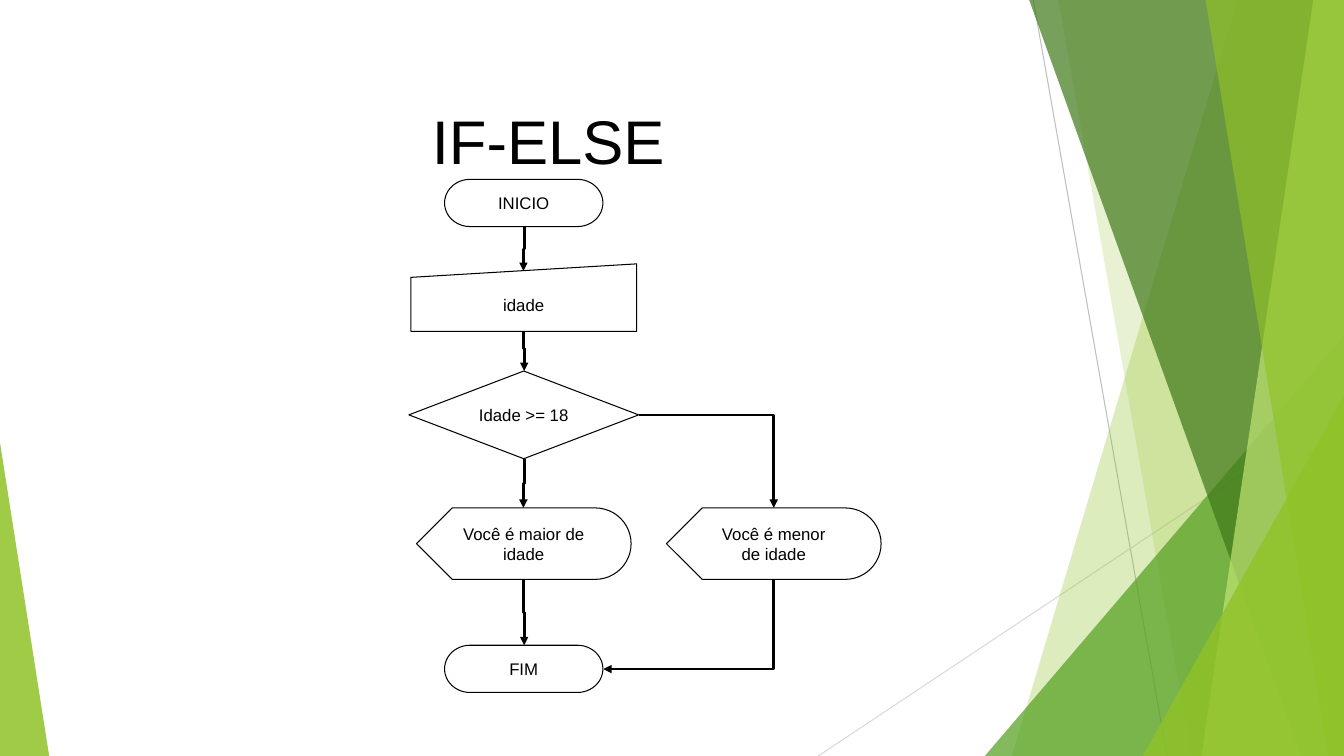
from dataclasses import dataclass
from lxml.etree import SubElement as Sub
from pptx import Presentation
from pptx.dml.color import RGBColor as Rgb
from pptx.enum.shapes import MSO_CONNECTOR as Link, MSO_SHAPE as Form
from pptx.enum.text import MSO_ANCHOR as Anchor, PP_ALIGN as Align
from pptx.oxml.ns import qn
from pptx.util import Cm, Pt


@dataclass(frozen=True)
class Theme:
    font: str = "Arial"
    ink: str = "000000"
    paper: str = "FFFFFF"
    grey: str = "BFBFBF"
    pale: str = "D9D9D9"
    lime: str = "90C226"
    green: str = "54A021"
    dark: str = "3F7819"
    light: str = "C0E474"
    head: int = 44
    body: int = 12
    hair: float = 0
    thin: float = 0.75


class Board:
    def __init__(self, slide, theme):
        self.shapes = slide.shapes
        self.theme = theme

    def label(self, shape, text, size):
        frame = shape.text_frame
        frame.word_wrap = True
        frame.vertical_anchor = Anchor.MIDDLE
        para = frame.paragraphs[0]
        para.alignment = Align.CENTER
        run = para.add_run()
        run.text = text
        run.font.name = self.theme.font
        run.font.size = Pt(size)
        run.font.color.rgb = Rgb.from_string(self.theme.ink)

    def title(self, text, left, top, width, height):
        box = self.shapes.add_textbox(Cm(left), Cm(top), Cm(width), Cm(height))
        frame = box.text_frame
        frame.margin_left = frame.margin_right = Cm(0)
        frame.margin_top = frame.margin_bottom = Cm(0)
        self.label(box, text, self.theme.head)

    def facet(self, points, color, alpha):
        start, *rest = [(Cm(x), Cm(y)) for x, y in points]
        pen = self.shapes.build_freeform(*start)
        pen.add_line_segments(rest)
        shape = pen.convert_to_shape()
        shape.shadow.inherit = False
        shape.line.fill.background()
        shape.fill.solid()
        shape.fill.fore_color.rgb = Rgb.from_string(color)
        tint = shape.element.spPr.find(qn("a:solidFill")).find(qn("a:srgbClr"))
        Sub(tint, qn("a:alpha"), val=str(alpha * 1000))

    def node(self, form, text, mid, top, width, height):
        shape = self.shapes.add_shape(
            form, Cm(mid - width / 2), Cm(top), Cm(width), Cm(height))
        shape.shadow.inherit = False
        shape.fill.solid()
        shape.fill.fore_color.rgb = Rgb.from_string(self.theme.paper)
        shape.line.color.rgb = Rgb.from_string(self.theme.ink)
        shape.line.width = Pt(self.theme.hair)
        self.label(shape, text, self.theme.body)

    def line(self, start, end, color, width, kind=Link.STRAIGHT):
        ends = [Cm(value) for value in (*start, *end)]
        link = self.shapes.add_connector(kind, *ends)
        link.line.color.rgb = Rgb.from_string(color)
        link.line.width = Pt(width)
        Sub(link.element.spPr, qn("a:effectLst"))
        return link

    def arrow(self, start, end, corner=False):
        link = self.line(start, end, self.theme.ink, self.theme.hair, Link.ELBOW)
        shape = link.element.spPr
        Sub(shape.find(qn("a:ln")), qn("a:tailEnd"), type="triangle")
        if corner:
            shape.find(qn("a:prstGeom")).set("prst", "bentConnector2")
        return link

    def drop(self, start, end, corner=False):
        link = self.arrow(start, end, corner)
        (x1, y1), (x2, y2) = start, end
        wide, high = y2 - y1, abs(x2 - x1)
        link.left, link.top = Cm((x1 + x2 - wide) / 2), Cm((y1 + y2 - high) / 2)
        link.width, link.height = Cm(wide), Cm(high)
        frame = link.element.spPr.find(qn("a:xfrm"))
        right = x2 > x1
        frame.set("rot", str((270 if right else 90) * 60000))
        frame.set("flipH", str(int(right)))


WIDE, HIGH, TOP = 33.87, 19.05, -0.02


def band(top, base):
    return [(top, TOP), (WIDE, TOP), (WIDE, HIGH), (base, HIGH)]


def wedge(base, peak):
    return [(base, HIGH), (WIDE, peak), (WIDE, HIGH)]


def main():
    deck = Presentation()
    deck.slide_width, deck.slide_height = Cm(WIDE), Cm(HIGH)
    theme = Theme()
    board = Board(deck.slides.add_slide(deck.slide_layouts[6]), theme)

    board.line((26.04, 0), (29.41, HIGH), theme.grey, theme.thin)
    board.line((WIDE, 10.24), (20.62, HIGH), theme.pale, theme.thin)
    for points, color, alpha in (
        (band(31.19, 25.5), theme.lime, 30),
        (band(26.67, 30.02), theme.lime, 20),
        (wedge(24.82, 8.46), theme.green, 72),
        (band(25.93, 32.79), theme.dark, 70),
        (band(33.1, 30.28), theme.light, 70),
        (band(30.38, 33.48), theme.lime, 65),
        (wedge(28.8, 9.98), theme.lime, 80),
        ([(0, HIGH), (0, 11.15), (1.24, HIGH)], theme.lime, 85),
    ):
        board.facet(points, color, alpha)

    board.title("IF-ELSE", 1.88, 1.7, 23.88, 3.66)

    main_x, side_x = 13.2, 19.5
    west, east = main_x - 0.01, main_x + 0.01
    board.drop((east, 5.72), (west, 6.83))
    board.drop((west, 8.23), (east, 9.35))
    board.drop((east, 11.56), (west, 12.8))
    board.drop((west, 14.6), (east, 16.26))
    board.arrow((16.1, 10.46), (side_x, 12.8), corner=True)
    board.drop((side_x, 14.6), (15.2, 16.86), corner=True)

    pill, show = (3.99, 1.19), (5.41, 1.8)
    for form, text, mid, top, size in (
        (Form.FLOWCHART_TERMINATOR, "INICIO", main_x, 4.52, pill),
        (Form.FLOWCHART_MANUAL_INPUT, "idade", main_x, 6.65, (5.69, 1.7)),
        (Form.FLOWCHART_DECISION, "Idade >= 18", main_x, 9.35, (5.79, 2.21)),
        (Form.FLOWCHART_DISPLAY, "Você é maior de idade", main_x, 12.8, show),
        (Form.FLOWCHART_DISPLAY, "Você é menor de idade", side_x, 12.8, show),
        (Form.FLOWCHART_TERMINATOR, "FIM", main_x, 16.26, pill),
    ):
        board.node(form, text, mid, top, *size)

    deck.save("out.pptx")


if __name__ == "__main__":
    main()
